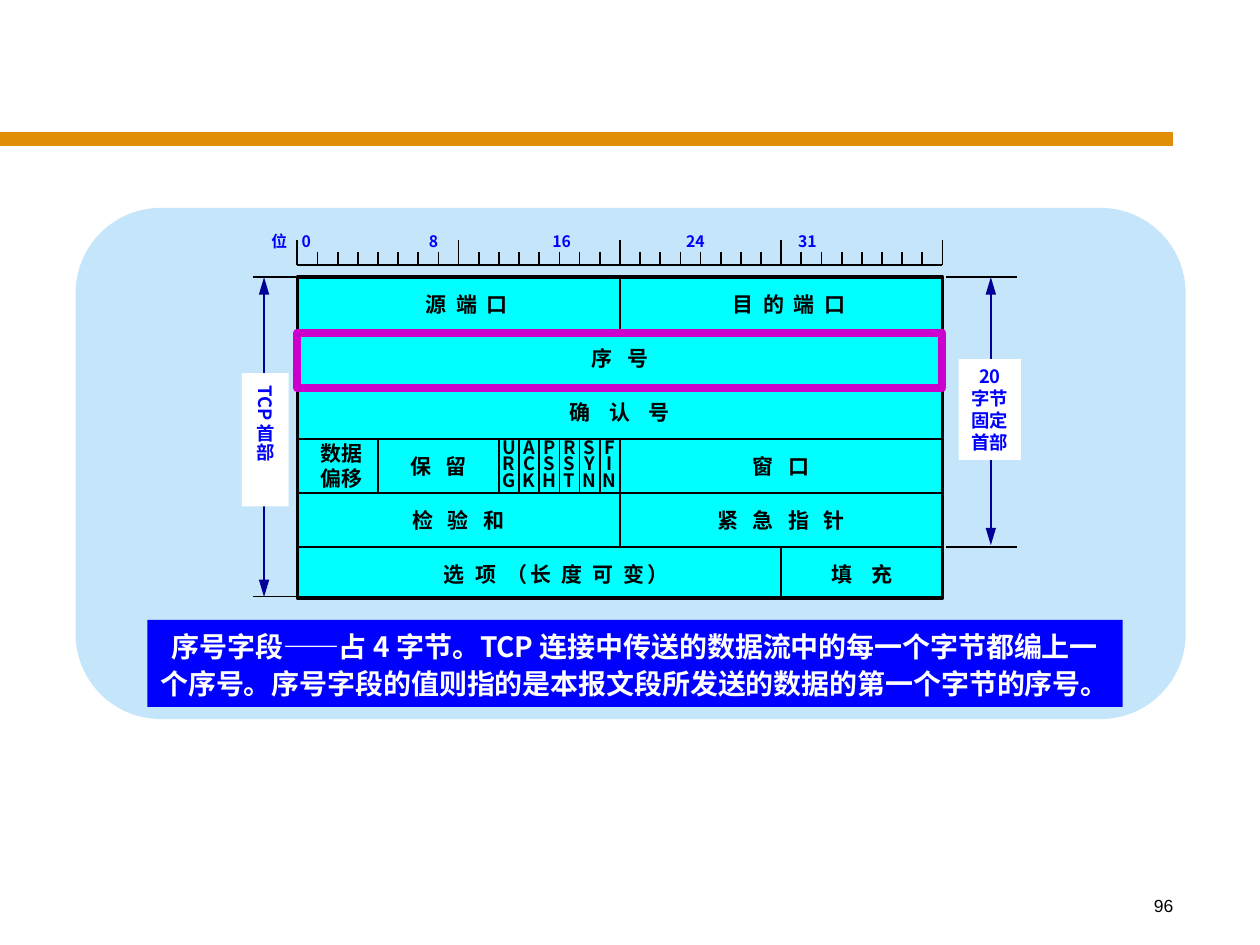
from lxml.etree import SubElement
from pptx import Presentation
from pptx.dml.color import RGBColor
from pptx.enum.shapes import MSO_CONNECTOR, MSO_SHAPE
from pptx.enum.text import MSO_ANCHOR, PP_ALIGN
from pptx.oxml.ns import qn
from pptx.util import Emu, Inches, Pt

INK = {
    "black": "000000", "white": "FFFFFF", "blue": "0000FF", "navy": "000099",
    "cyan": "00FFFF", "sky": "C5E5FB", "pink": "CC00CC", "gold": "DF8E05",
}
MID, LEFT, RIGHT = PP_ALIGN.CENTER, PP_ALIGN.LEFT, PP_ALIGN.RIGHT


def grid(bit, row):
    """Point of the header table, as shares of the slide's size."""
    return 0.236 + 0.016 * bit, (2.2 + 0.428 * row) / 7.5


class Deck:
    font = "Noto Sans CJK SC"

    def __init__(self):
        self.prs = Presentation()
        self.prs.slide_width, self.prs.slide_height = Inches(10), Inches(7.5)
        self.slide = self.prs.slides.add_slide(self.prs.slide_layouts[6])

    def spot(self, point):
        return (Emu(int(point[0] * self.prs.slide_width)),
                Emu(int(point[1] * self.prs.slide_height)))

    def area(self, start, end):
        (x, y), (right, low) = self.spot(start), self.spot(end)
        return x, y, right - x, low - y

    def box(self, start, end, fill=None, line=None, width=1, kind=MSO_SHAPE.RECTANGLE):
        shape = self.slide.shapes.add_shape(kind, *self.area(start, end))
        shape.shadow.inherit = False
        if fill:
            shape.fill.solid()
            shape.fill.fore_color.rgb = RGBColor.from_string(INK[fill])
        else:
            shape.fill.background()
        if line:
            shape.line.color.rgb = RGBColor.from_string(INK[line])
            shape.line.width = Pt(width)
        else:
            shape.line.fill.background()
        return shape

    def line(self, start, end, ink="black", width=1, arrows=False):
        wire = self.slide.shapes.add_connector(
            MSO_CONNECTOR.STRAIGHT, *self.spot(start), *self.spot(end))
        wire.line.color.rgb = RGBColor.from_string(INK[ink])
        wire.line.width = Pt(width)
        props = wire._element.spPr
        if arrows:
            for tip in ("a:headEnd", "a:tailEnd"):
                SubElement(props.find(qn("a:ln")), qn(tip), type="triangle", w="med", len="lg")
        SubElement(props, qn("a:effectLst"))

    def label(self, shape, text, size, ink="black", align=MID, lead=None,
              gap=0, inset=0, font=None, bold=True):
        frame = shape.text_frame
        frame.text = text
        frame.word_wrap = True
        frame.vertical_anchor = MSO_ANCHOR.MIDDLE
        frame.margin_left = frame.margin_right = Inches(inset)
        frame.margin_top = frame.margin_bottom = Inches(inset / 2)
        for para in frame.paragraphs:
            para.alignment = align
            if lead:
                para.line_spacing = lead
            for run in para.runs:
                run.font.size, run.font.bold = Pt(size), bold
                run.font.name = font or self.font
                run.font.color.rgb = RGBColor.from_string(INK[ink])
                props = run._r.get_or_add_rPr()
                SubElement(props, qn("a:ea"), typeface=font or self.font)
                if gap:
                    props.set("spc", str(int(gap * 100)))
        return frame

    def text(self, start, end, text, size, **style):
        shape = self.slide.shapes.add_textbox(*self.area(start, end))
        return self.label(shape, text, size, **style)


def main():
    deck = Deck()

    # Page frame: rule, number and panel
    deck.line((0, 0.147), (0.931, 0.147), "gold", 8)
    deck.text((0.733, 0.93), (0.941, 0.987), "96", 10, align=RIGHT,
              inset=0.1, font="Arial", bold=False)
    deck.box((0.06, 0.22), (0.941, 0.761), "sky", kind=MSO_SHAPE.ROUNDED_RECTANGLE)

    # Spans of the header: whole on the left, fixed part on the right
    deck.line(grid(-1.65, 0), grid(-1.65, 5.93), "navy", arrows=True)
    side = deck.box(grid(-2.75, 1.78), grid(-0.43, 4.25), "white")
    frame = deck.label(side, "TCP 首部", 10.5, "blue", LEFT, inset=0.1)
    frame._txBody.bodyPr.set("vert", "eaVert")
    deck.line(grid(34.4, 0), grid(34.4, 4.97), "navy", arrows=True)
    fixed = deck.box(grid(32.8, 1.52), grid(35.9, 3.39), "white")
    deck.label(fixed, "20\n字节\n固定\n首部", 10.5, "blue")
    for left, right, row in ((-2.2, 0, 0), (-2.2, 0, 5.92), (32.2, 35.7, 0), (32.2, 35.7, 5)):
        deck.line(grid(left, row), grid(right, row))

    # Header table and its inner lines
    last = 5.95
    deck.box(grid(0, 0), grid(32, last), "cyan", "black", 2)
    for row in range(1, 6):
        deck.line(grid(0, row), grid(32, row))
    walls = [(16, 0, 1), (16, 3, 5), (24, 5, last)]
    walls += [(bit, 3, 4) for bit in (4, *range(10, 16))]
    for bit, top, low in walls:
        deck.line(grid(bit, top), grid(bit, low))

    # Field names: first bit, last bit, row, name, letter gap
    fields = [
        (0.8, 16, 0, "源 端 口", 1.4), (16.8, 32, 0, "目 的 端 口", 1.4),
        (0, 32, 1, "序 号", 2.8), (0, 32, 2, "确 认 号", 4),
        (0.4, 4, 3, "数据\n偏移", 0), (4, 10, 3, "保 留", 2.8), (16, 32, 3, "窗 口", 2.8),
        (0, 16, 4, "检 验 和", 2.8), (16, 32, 4, "紧 急 指 针", 2.8),
        (1.7, 24, 5, "选 项 （长 度 可 变）", 1.6), (24, 32, 5, "填 充", 4),
    ]
    for first, end, row, name, gap in fields:
        deck.text(grid(first, row), grid(end, row + 1), name, 12, gap=gap)
    for bit, flag in enumerate(("URG", "ACK", "PSH", "RST", "SYN", "FIN"), 10):
        deck.text(grid(bit, 3), grid(bit + 1, 4), "\n".join(flag), 10.5, lead=0.75)

    # Highlighted field and its explanation
    deck.box(grid(0, 1.03), grid(32, 2.06), line="pink", width=4.5)
    note = deck.box((0.117, 0.656), (0.891, 0.748), "blue")
    deck.label(note, "序号字段——占 4 字节。TCP 连接中传送的数据流中的每一个字节都编上一个序号。"
               "序号字段的值则指的是本报文段所发送的数据的第一个字节的序号。",
               16, "white", lead=1.1, inset=0.1)

    # Bit ruler with its scale
    base = -0.23
    deck.line(grid(0, base), grid(32, base))
    for bit in range(33):
        deck.line(grid(bit, -0.68 if bit % 8 == 0 else -0.47), grid(bit, base))
    scale = deck.text(grid(-1.9, -0.96), grid(33.5, -0.37), "位\t0\t8\t16\t24\t31", 9,
                      ink="blue", align=LEFT, inset=0.1)
    stops = SubElement(scale.paragraphs[0]._p.get_or_add_pPr(), qn("a:tabLst"))
    for stop in (0.24, 1.25, 2.23, 3.29, 4.18):
        SubElement(stops, qn("a:tab"), pos=str(Inches(stop)), algn="l")

    deck.prs.save("out.pptx")


if __name__ == "__main__":
    main()
